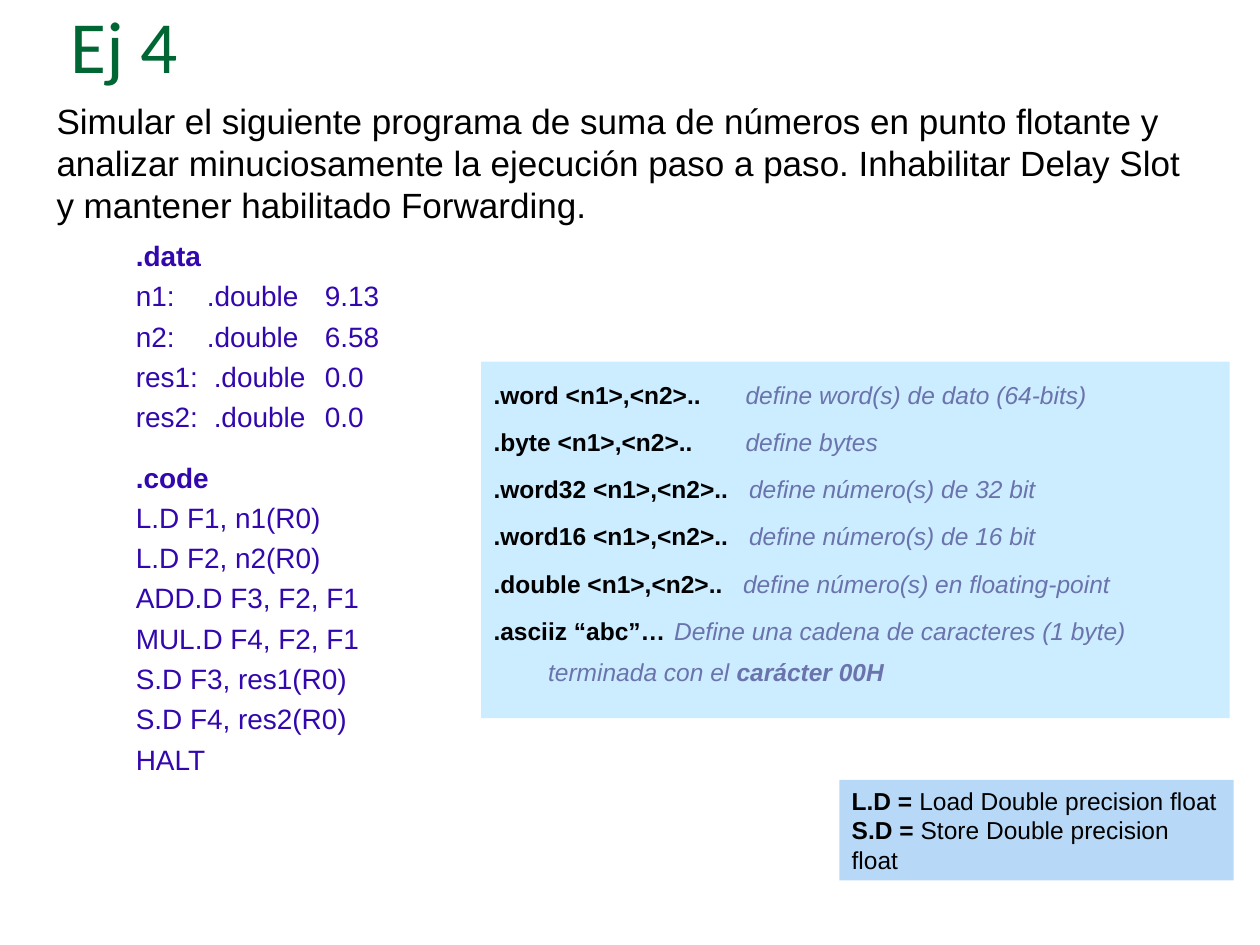
import pptx
import pptx.dml.color
import pptx.enum.shapes
import pptx.enum.text
import pptx.oxml.ns
import pptx.util
from lxml import etree

Cm = pptx.util.Cm
Pt = pptx.util.Pt

DATA = [
    ("n1:\t.double\t9.13", 1.43),
    ("n2:\t.double\t6.58", 1.43),
    ("res1:\t.double\t0.0", 1.57),
    ("res2:\t.double\t0.0", 1.57),
]
CODE = [
    "L.D F1, n1(R0)",
    "L.D F2, n2(R0)",
    "ADD.D F3, F2, F1",
    "MUL.D F4, F2, F1",
    "S.D F3, res1(R0)",
    "S.D F4, res2(R0)",
    "HALT",
]
DIRECTIVES = [
    (".word <n1>,<n2>..", "define word(s) de dato (64-bits)", 5.08),
    (".byte <n1>,<n2>..", "define bytes", 5.08),
    (".word32 <n1>,<n2>..", "define número(s) de 32 bit", 5.15),
    (".word16 <n1>,<n2>..", "define número(s) de 16 bit", 5.15),
    (".double <n1>,<n2>..", "define número(s) en floating-point", 5.03),
    (".asciiz “abc”…", "Define una cadena de caracteres (1 byte) terminada con el ", 3.88),
]


def rgb(value):
    return pptx.dml.color.RGBColor.from_string(value)


def set_frame(tf):
    tf.word_wrap = True
    tf.auto_size = pptx.enum.text.MSO_AUTO_SIZE.NONE
    tf.vertical_anchor = pptx.enum.text.MSO_ANCHOR.TOP


def add_title(s, text):
    title = s.shapes.title
    title.left, title.top, title.width, title.height = Cm(1.17), Cm(-0.13), Cm(22.86), Cm(3.18)
    set_frame(title.text_frame)
    add_paragraph(title.text_frame, [(text, "006633", False, False)], 42, font="Calibri")


def add_text(s, left, top, width, height):
    tf = s.shapes.add_textbox(Cm(left), Cm(top), Cm(width), Cm(height)).text_frame
    set_frame(tf)
    return tf


def add_panel(s, left, top, width, height, fill):
    sp = s.shapes.add_shape(
        pptx.enum.shapes.MSO_SHAPE.RECTANGLE, Cm(left), Cm(top), Cm(width), Cm(height))
    sp.shadow.inherit = False
    sp.fill.solid()
    sp.fill.fore_color.rgb = rgb(fill)
    sp.line.fill.background()
    set_frame(sp.text_frame)
    return sp.text_frame


def add_tabs(p, stops):
    tabs = etree.SubElement(p._p.get_or_add_pPr(), pptx.oxml.ns.qn("a:tabLst"))
    for stop in stops:
        etree.SubElement(tabs, pptx.oxml.ns.qn("a:tab"), pos=str(Cm(stop)), algn="l")


def add_paragraph(tf, runs, size, spacing=None, before=0, tabs=(), font="Arial"):
    p = tf.paragraphs[0] if not tf.paragraphs[0].runs else tf.add_paragraph()
    if tabs:
        add_tabs(p, tabs)
    p.alignment = pptx.enum.text.PP_ALIGN.LEFT
    p.line_spacing = spacing
    p.space_before = Pt(before)
    p.font.name = font
    p.font.size = Pt(size)
    for text, color, bold, italic in runs:
        r = p.add_run()
        r.text = text
        r.font.color.rgb = rgb(color)
        r.font.bold = bold
        r.font.italic = italic
    return p


def add_program(s):
    tf = add_text(s, 2.49, 4.55, 5.79, 11.23)

    def add_line(text, bold=False, before=0, tabs=()):
        add_paragraph(tf, [(text, "3207AD", bold, False)], 16, 1.2, before, tabs)

    add_line(".data", bold=True)
    for text, stop in DATA:
        add_line(text, tabs=(stop, 3.81))
    add_line(".code", bold=True, before=11.5)
    for text in CODE:
        add_line(text)


def add_directives(s):
    tf = add_panel(s, 9.7, 7.29, 15.09, 7.19, "CCECFF")
    for i, (name, meaning, stop) in enumerate(DIRECTIVES):
        runs = [(name + "\t", "000000", True, False), (meaning, "6B73AD", False, True)]
        if i == len(DIRECTIVES) - 1:
            runs.append(("carácter 00H", "6B73AD", True, True))
        p = add_paragraph(tf, runs, 14, 1.4, 3.5 if i else 0, (stop,))
    hanging = p._p.get_or_add_pPr()
    hanging.set("marL", str(Cm(1.1)))
    hanging.set("indent", str(Cm(-1.1)))


def add_legend(s):
    tf = add_panel(s, 16.92, 15.72, 7.95, 2.03, "B7D9F7")
    for name, verb in (("L.D", "Load"), ("S.D", "Store")):
        add_paragraph(tf, [
            (f"{name} = ", "000000", True, False),
            (f"{verb} Double precision float", "000000", False, False),
        ], 14)


def main():
    prs = pptx.Presentation()
    prs.slide_width, prs.slide_height = Cm(25.4), Cm(19.05)
    s = prs.slides.add_slide(prs.slide_layouts[5])
    add_title(s, "Ej 4")
    statement = (
        "Simular el siguiente programa de suma de números en punto flotante y "
        "analizar minuciosamente la ejecución paso a paso. Inhabilitar Delay Slot "
        "y mantener habilitado Forwarding."
    )
    add_paragraph(add_text(s, 0.89, 1.88, 23.39, 2.79), [(statement, "000000", False, False)], 20)
    add_program(s)
    add_directives(s)
    add_legend(s)
    prs.save("out.pptx")


if __name__ == "__main__":
    main()
